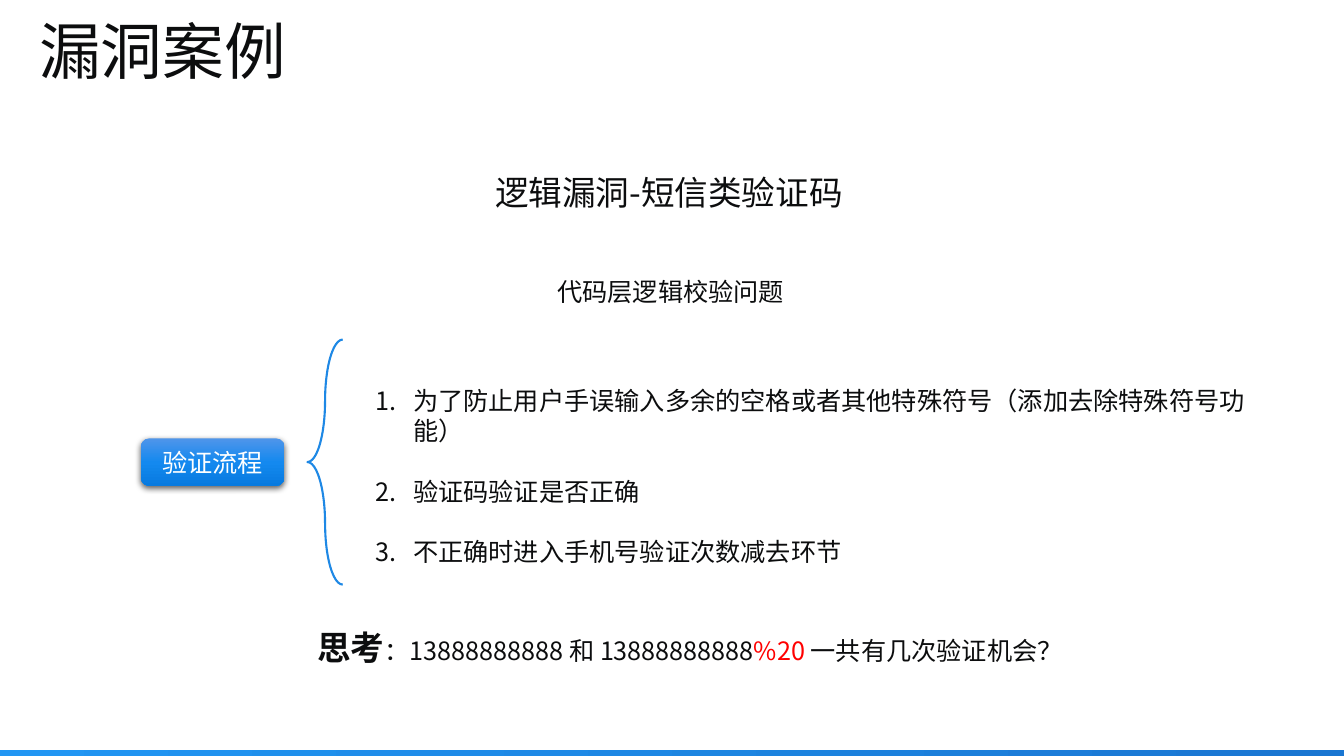
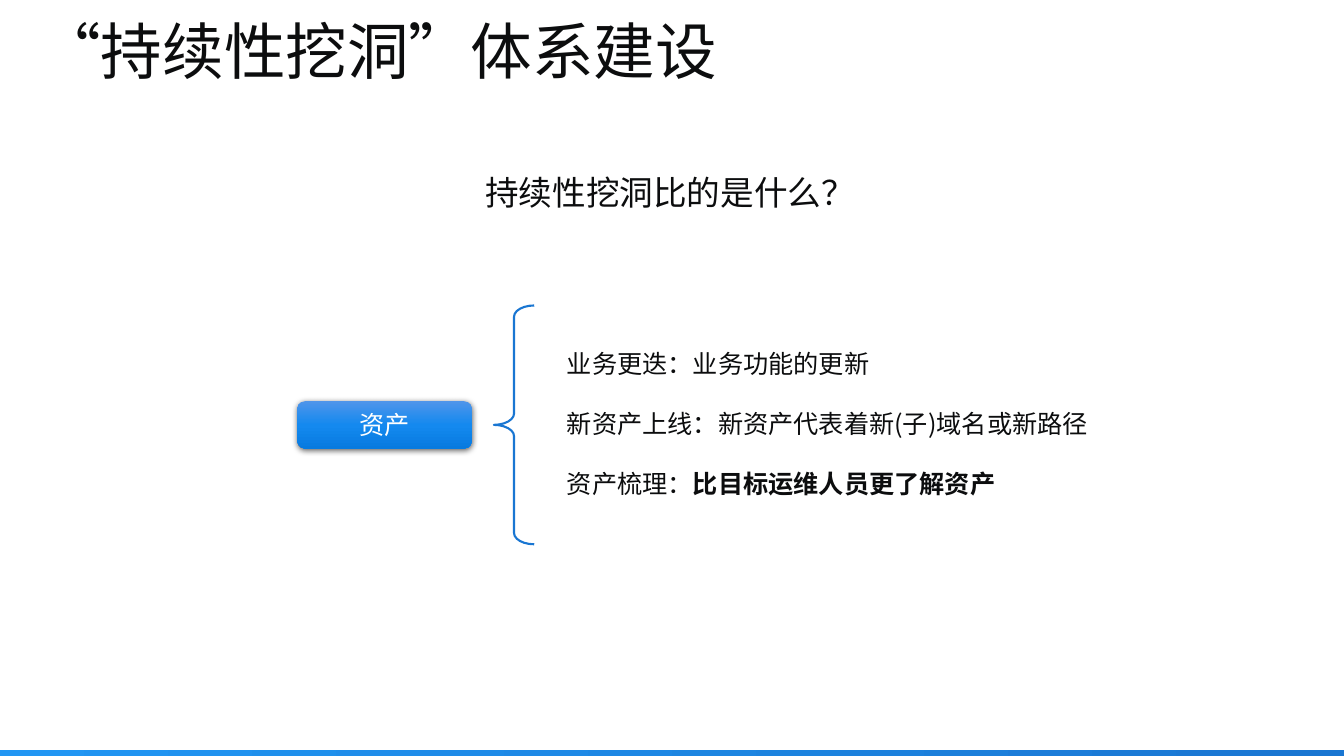
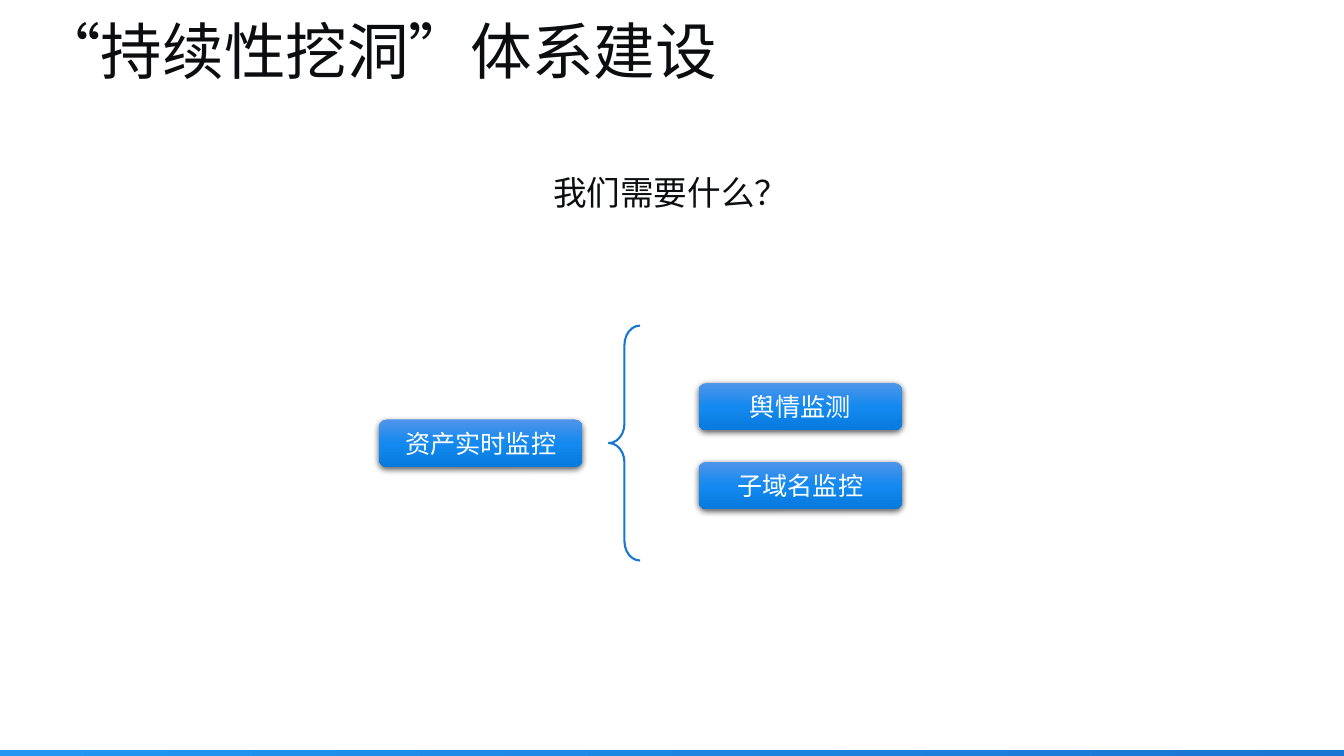
from lxml.etree import SubElement
from pptx import Presentation
from pptx.dml.color import RGBColor as Color
from pptx.enum.shapes import MSO_SHAPE as Preset
from pptx.enum.text import MSO_ANCHOR as Anchor, MSO_AUTO_SIZE as AutoSize, PP_ALIGN as Align
from pptx.oxml.ns import qn
from pptx.util import Pt

COLORS = {"ink": "0C0D0E", "white": "FFFFFF", "red": "FF0000",
          "brace": "1E88E5", "brace_dark": "1976D2"}
BAND_STOPS = ((0, "2196F3"), (100, "1976D2"))
PILL_STOPS = ((0, "4F95EA"), (50, "1489EF"), (100, "077ADF"))
SANS, SERIF = "Noto Sans CJK SC", "Cambria"
BODY = {"size": Pt(18), "name": SANS, "bold": False}
HEADING = {**BODY, "size": Pt(24)}
TITLE = {**BODY, "size": Pt(44), "name": SERIF}
PAGE_WIDTH, PAGE_HEIGHT = 960, 540
PILL_HEIGHT = 33.84
ITEM_GAP = 21.4


def points(*lengths):
    """Turn numbers into point lengths."""
    return [Pt(length) for length in lengths]


def add_span(para, text, style, color="ink"):
    """Append one formatted run to a paragraph."""
    span = para.add_run()
    span.text = text
    for key, value in style.items():
        setattr(span.font, key, value)
    span.font.color.rgb = Color.from_string(COLORS[color])
    SubElement(span.font._element, qn("a:ea"), typeface=SANS)


def set_gradient(shape, stops, angle):
    """Give a borderless shape a linear gradient."""
    gradient = SubElement(shape.element.spPr, qn("a:gradFill"), rotWithShape="1")
    stop_list = SubElement(gradient, qn("a:gsLst"))
    for position, color in stops:
        stop = SubElement(stop_list, qn("a:gs"), pos=str(position * 1000))
        SubElement(stop, qn("a:srgbClr"), val=color)
    SubElement(gradient, qn("a:lin"), ang=str(angle * 60000), scaled="0")
    shape.line.fill.background()
    shape.shadow.inherit = False


def add_text(page, box, paragraphs, numbered=False):
    """Place paragraphs, each a list of (text, style, colour) spans."""
    frame = page.shapes.add_textbox(*points(*box)).text_frame
    frame.word_wrap = True
    for index, spans in enumerate(paragraphs):
        para = frame.add_paragraph() if index else frame.paragraphs[0]
        if index:
            para.space_before = Pt(ITEM_GAP)
        if numbered:
            props = para._p.get_or_add_pPr()
            props.set("marL", str(Pt(27)))
            props.set("indent", str(-Pt(27)))
            SubElement(props, qn("a:buFont"), typeface=SANS)
            SubElement(props, qn("a:buAutoNum"), type="arabicPeriod")
        for span in spans:
            add_span(para, *span)


def add_centred_text(page, top, width, height, text, style):
    """Place a one-paragraph box in the middle of the page width."""
    add_text(page, ((PAGE_WIDTH - width) / 2, top, width, height), [[(text, style)]])


def add_pill(page, left, top, width, label):
    """Place a rounded gradient label with a soft shadow."""
    pill = page.shapes.add_shape(Preset.ROUNDED_RECTANGLE, *points(left, top, width, PILL_HEIGHT))
    set_gradient(pill, PILL_STOPS, 90)
    effects = pill.element.spPr.find(qn("a:effectLst"))
    shadow = SubElement(effects, qn("a:outerShdw"), blurRad=str(Pt(4.5)), dist=str(Pt(1.5)),
                        dir="5400000", algn="ctr", rotWithShape="0")
    SubElement(SubElement(shadow, qn("a:srgbClr"), val="000000"), qn("a:alpha"), val="63000")
    frame = pill.text_frame
    frame.vertical_anchor = Anchor.MIDDLE
    frame.paragraphs[0].alignment = Align.CENTER
    add_span(frame.paragraphs[0], label, BODY, "white")


def add_brace_group(page, box, label, label_width, brace_left, bend, color):
    """Place a label and the brace it points to, both centred in the box height."""
    left, top, width, height = box
    add_pill(page, left, top + (height - PILL_HEIGHT) / 2, label_width, label)
    brace = page.shapes.add_shape(
        Preset.LEFT_BRACE, *points(left + brace_left, top, width - brace_left, height))
    brace.adjustments[0] = bend
    brace.fill.background()
    brace.line.color.rgb = Color.from_string(COLORS[color])
    brace.line.width = Pt(1.5)
    brace.shadow.inherit = False


def add_items(page, group, width, items, numbered=False):
    """Place a list to the right of a brace group, centred on it."""
    left, top, group_width, group_height = group
    height = 116.6
    box = (left + group_width + 16.2, top + (group_height - height) / 2, width, height)
    add_text(page, box, items, numbered)


def add_page(deck, title, heading, heading_width):
    """Add a slide with its title and centred heading."""
    page = deck.slides.add_slide(deck.slide_layouts[5])
    holder = page.shapes.title
    for key, value in zip(("left", "top", "width", "height"), points(20.9, 10.8, 792, 56.9)):
        setattr(holder, key, value)
    frame = holder.text_frame
    frame.auto_size = AutoSize.NONE
    frame.vertical_anchor = Anchor.MIDDLE
    para = frame.paragraphs[0]
    para.alignment = Align.LEFT
    para.line_spacing = 0.9
    add_span(para, title, TITLE)
    add_centred_text(page, 119.5, heading_width, 36, heading, HEADING)
    return page


def add_band(deck, page):
    """Draw the bottom band and hand it to the shared layout."""
    band = page.shapes.add_shape(Preset.RECTANGLE, *points(0, 535.7, PAGE_WIDTH, 5.8))
    set_gradient(band, BAND_STOPS, 0)
    deck.slide_layouts[5].shapes.element.append(band.element)


def build_case(deck):
    """Build the case slide."""
    page = add_page(deck, "漏洞案例", "逻辑漏洞-短信类验证码", 267)
    add_centred_text(page, 193.7, 178, 28.8, "代码层逻辑校验问题", BODY)
    group = (100.8, 242.6, 144, 175)
    add_brace_group(page, group, "验证流程", 102.2, 118.8, 1.75, "brace")
    steps = ("为了防止用户手误输入多余的空格或者其他特殊符号（添加去除特殊符号功能）",
             "验证码验证是否正确", "不正确时进入手机号验证次数减去环节")
    add_items(page, group, 666, [[(step, BODY)] for step in steps], numbered=True)
    question = [("思考", {**HEADING, "bold": True}), ("：13888888888 和 13888888888", BODY),
                ("%20", BODY, "red"), (" 一共有几次验证机会？", BODY)]
    add_text(page, (219.6, 444.2, 568, 36), [question])
    return page


def build_assets(deck):
    """Build the asset slide."""
    page = add_page(deck, "“持续性挖洞”体系建设", "持续性挖洞比的是什么？", 281)
    group = (212.4, 218.2, 169.2, 170.6)
    add_brace_group(page, group, "资产", 124.6, 140.4, 0.28, "brace_dark")
    add_items(page, group, 390, [
        [("业务更迭：业务功能的更新", BODY)],
        [("新资产上线：新资产代表着新(子)域名或新路径", BODY)],
        [("资产梳理：", BODY), ("比目标运维人员更了解资产", {**BODY, "bold": True})]])


def build_needs(deck):
    """Build the monitoring slide."""
    page = add_page(deck, "“持续性挖洞”体系建设", "我们需要什么？", 184)
    group = (270.7, 232.6, 186.5, 167.8)
    add_brace_group(page, group, "资产实时监控", 145.4, 164.2, 0.62, "brace_dark")
    for row, label in enumerate(("舆情监测", "子域名监控")):
        add_pill(page, 499, 273.6 + row * 56.2, 145.4, label)


def main():
    """Build and save the deck."""
    deck = Presentation()
    deck.slide_width, deck.slide_height = points(PAGE_WIDTH, PAGE_HEIGHT)
    add_band(deck, build_case(deck))
    build_assets(deck)
    build_needs(deck)
    deck.save("out.pptx")


if __name__ == "__main__":
    main()
